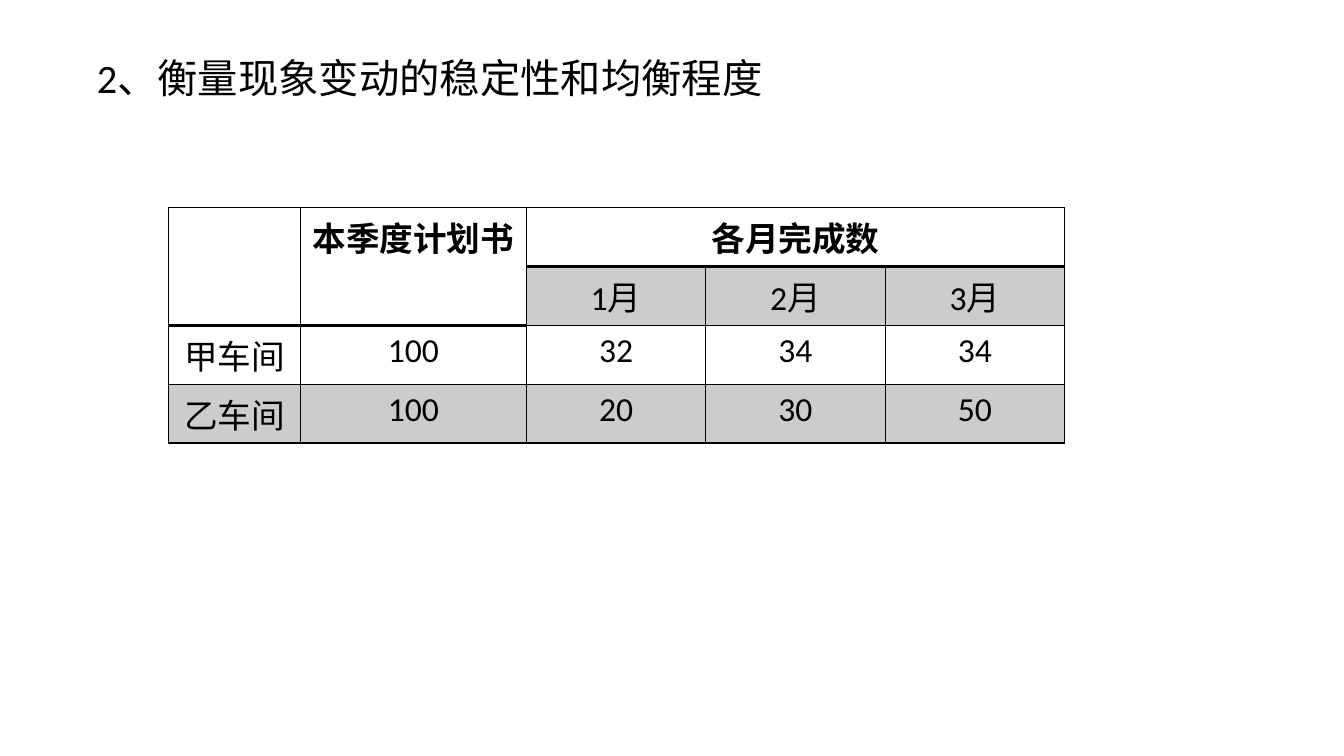
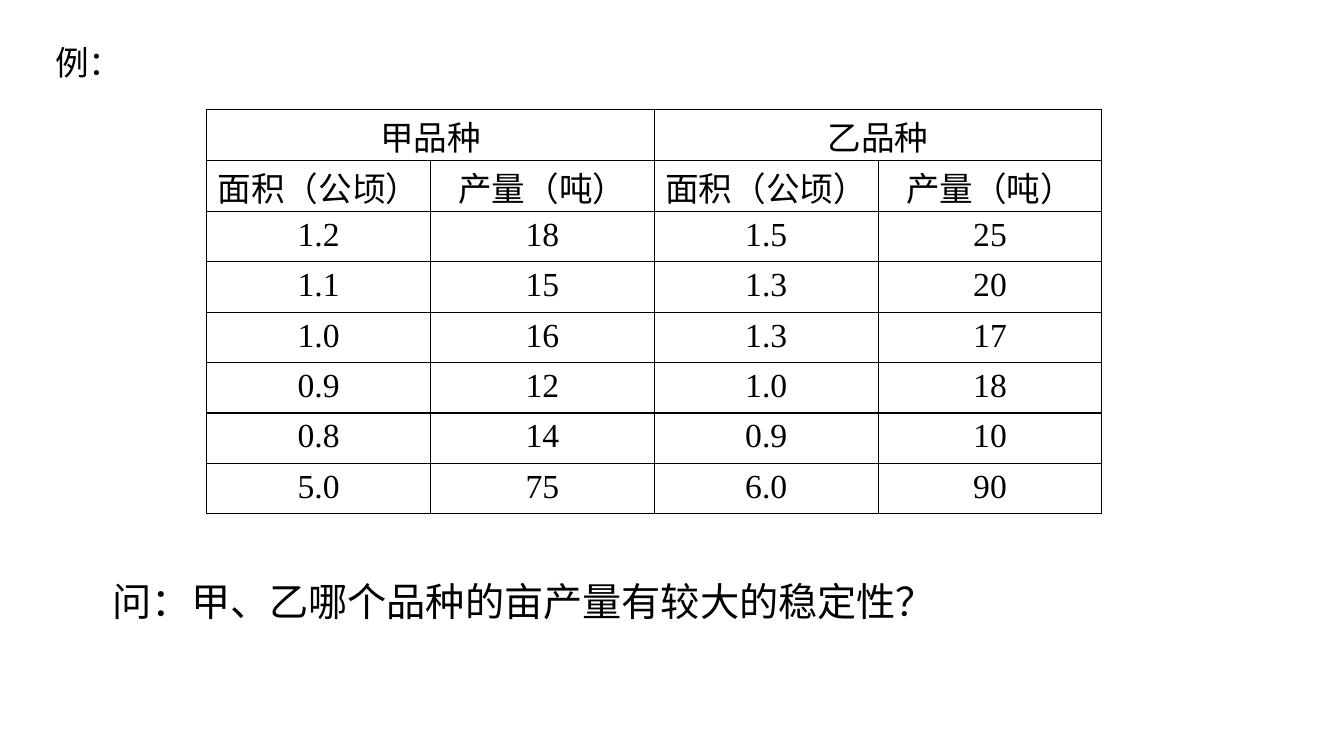
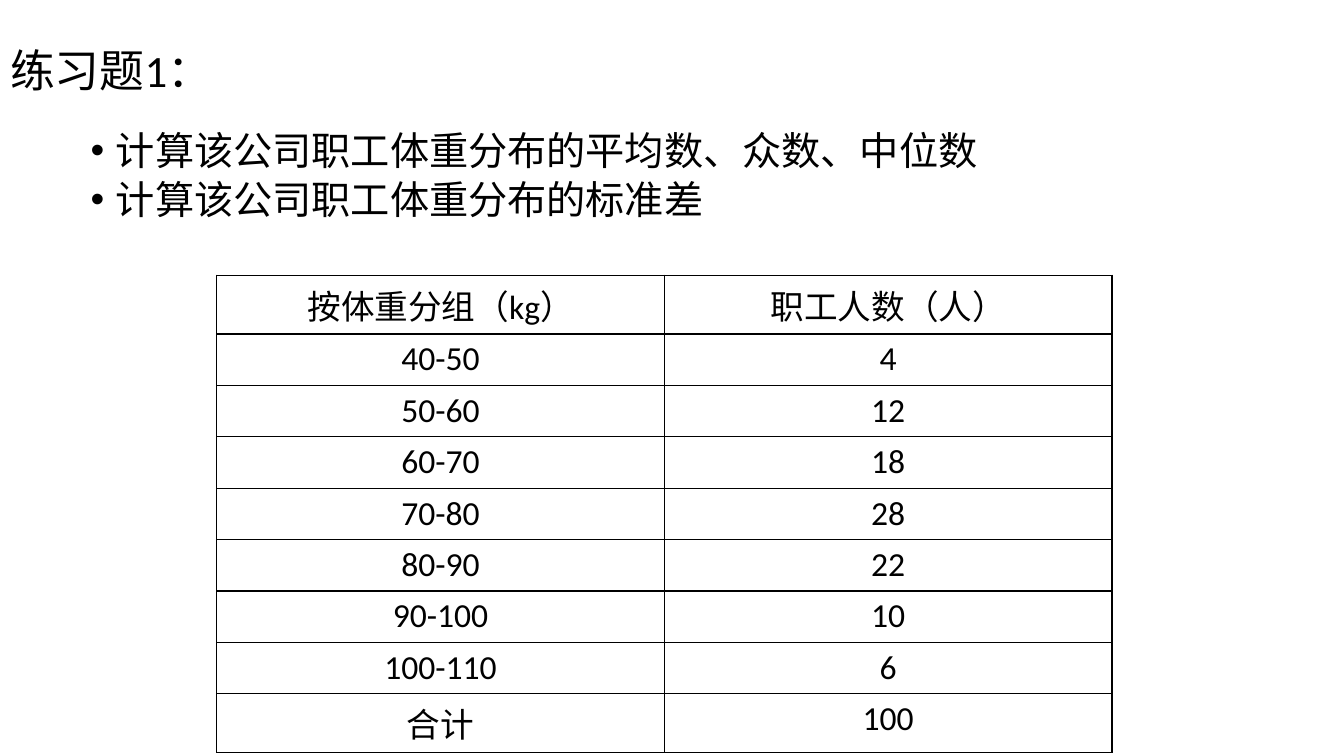
from dataclasses import dataclass

import lxml.etree
import pptx
import pptx.dml.color
import pptx.enum.text
import pptx.oxml.ns
import pptx.util

Inches = pptx.util.Inches
Pt = pptx.util.Pt
qn = pptx.oxml.ns.qn
ALIGN = pptx.enum.text.PP_ALIGN
ANCHOR = pptx.enum.text.MSO_ANCHOR

COLORS = {"ink": "000000", "band": "CCCCCC"}
SANS = "Calibri"
SERIF = "Times New Roman"
CJK = "Noto Sans CJK SC"


@dataclass
class Grid:
    left: float
    top: float
    cols: list[float]
    heights: list[float]
    rows: list[list[str]]
    merges: tuple[tuple[int, int, int, int], ...] = ()
    font: str = SANS
    bold_rows: tuple[int, ...] = ()
    shaded: tuple[tuple[int, int], ...] = ()
    thick_below: tuple[tuple[int, int], ...] = ()
    tight_rows: tuple[int, ...] = ()


def rgb(name: str) -> pptx.dml.color.RGBColor:
    return pptx.dml.color.RGBColor.from_string(COLORS[name])


def add_text(tf, text: str, *, size: float = 24, font: str = SANS, bold: bool = False,
             align=ALIGN.LEFT, line: float = 1.0, before: float = 0,
             bullet: bool = False, new: bool = False) -> None:
    p = tf.add_paragraph() if new else tf.paragraphs[0]
    p.alignment = align
    p.line_spacing = line
    p.space_before = Pt(before)
    if bullet:
        pPr = p._p.get_or_add_pPr()
        pPr.set("marL", str(Inches(0.25)))
        pPr.set("indent", str(Inches(-0.25)))
        lxml.etree.SubElement(pPr, qn("a:buFont")).set("typeface", "Arial")
        lxml.etree.SubElement(pPr, qn("a:buChar")).set("char", "•")
    r = p.add_run()
    r.text = text
    r.font.size = Pt(size)
    r.font.bold = bold
    r.font.name = font
    r.font.color.rgb = rgb("ink")
    ea = lxml.etree.Element(qn("a:ea"))
    ea.set("typeface", CJK)
    r._r.rPr.find(qn("a:latin")).addnext(ea)


def place(shape, left: float, top: float, width: float, height: float):
    shape.left, shape.top = Inches(left), Inches(top)
    shape.width, shape.height = Inches(width), Inches(height)
    tf = shape.text_frame
    tf.auto_size = pptx.enum.text.MSO_AUTO_SIZE.NONE
    return tf


def add_title(s, text: str, box: tuple[float, float, float, float], size: float) -> None:
    tf = place(s.shapes.title, *box)
    tf.vertical_anchor = ANCHOR.MIDDLE
    add_text(tf, text, size=size, line=0.9)


def add_label(s, text: str, box: tuple[float, float, float, float], size: float) -> None:
    tf = place(s.shapes.add_textbox(0, 0, 0, 0), *box)
    tf.word_wrap = False
    add_text(tf, text, size=size)


def set_borders(cell, widths: dict[str, float]) -> None:
    tcPr = cell._tc.get_or_add_tcPr()
    for side, width in widths.items():
        ln = lxml.etree.SubElement(tcPr, qn(f"a:ln{side}"))
        ln.set("w", str(Pt(width)))
        fill = lxml.etree.SubElement(ln, qn("a:solidFill"))
        lxml.etree.SubElement(fill, qn("a:srgbClr")).set("val", COLORS["ink"])


def add_grid(s, grid: Grid) -> None:
    frame = s.shapes.add_table(len(grid.rows), len(grid.cols), Inches(grid.left), Inches(grid.top),
                               Inches(sum(grid.cols)), Inches(sum(grid.heights)))
    table = frame.table
    table.first_row = table.horz_banding = False
    for col, width in zip(table.columns, grid.cols):
        col.width = Inches(width)
    for row, height in zip(table.rows, grid.heights):
        row.height = Inches(height)
    for i, row in enumerate(grid.rows):
        for j, text in enumerate(row):
            cell = table.cell(i, j)
            set_borders(cell, {"L": 1, "R": 1,
                               "T": 2 if (i - 1, j) in grid.thick_below else 1,
                               "B": 2 if (i, j) in grid.thick_below else 1})
            if (i, j) in grid.shaded:
                cell.fill.solid()
                cell.fill.fore_color.rgb = rgb("band")
            else:
                cell.fill.background()
            if i in grid.tight_rows:
                cell.margin_top, cell.margin_bottom = Inches(0.02), 0
            if text:
                add_text(cell.text_frame, text, font=grid.font, align=ALIGN.CENTER,
                         bold=i in grid.bold_rows)
    for top, left, bottom, right in grid.merges:
        table.cell(top, left).merge(table.cell(bottom, right))


WORKSHOPS = Grid(
    1.67, 2.06, [1.31, 2.24] + [1.78] * 3, [0.58] * 4,
    [["", "本季度计划书", "各月完成数", "", ""],
     ["", "", "1月", "2月", "3月"],
     ["甲车间", "100", "32", "34", "34"],
     ["乙车间", "100", "20", "30", "50"]],
    merges=((0, 0, 1, 0), (0, 1, 1, 1), (0, 2, 0, 4)),
    bold_rows=(0,),
    shaded=tuple((1, j) for j in range(2, 5)) + tuple((3, j) for j in range(5)),
    thick_below=((0, 0), (0, 1), (0, 2), (0, 3), (0, 4), (1, 0), (1, 1)),
)

VARIETIES = Grid(
    2.05, 1.09, [2.22] * 4, [0.5] * 8,
    [["甲品种", "", "乙品种", ""],
     ["面积（公顷）", "产量（吨）"] * 2,
     ["1.2", "18", "1.5", "25"],
     ["1.1", "15", "1.3", "20"],
     ["1.0", "16", "1.3", "17"],
     ["0.9", "12", "1.0", "18"],
     ["0.8", "14", "0.9", "10"],
     ["5.0", "75", "6.0", "90"]],
    merges=((0, 0, 0, 1), (0, 2, 0, 3)),
    font=SERIF,
    tight_rows=(0, 1),
)

WEIGHTS = Grid(
    2.15, 2.73, [4.44] * 2, [0.58] + [0.51] * 7 + [0.58],
    [["按体重分组（kg）", "职工人数（人）"],
     ["40-50", "4"],
     ["50-60", "12"],
     ["60-70", "18"],
     ["70-80", "28"],
     ["80-90", "22"],
     ["90-100", "10"],
     ["100-110", "6"],
     ["合计", "100"]],
)

TASKS = ["计算该公司职工体重分布的平均数、众数、中位数", "计算该公司职工体重分布的标准差"]


def main() -> None:
    prs = pptx.Presentation()
    prs.slide_width, prs.slide_height = Inches(13.33), Inches(7.5)
    content, title_only, blank = (prs.slide_layouts[i] for i in (1, 5, 6))

    s = prs.slides.add_slide(title_only)
    add_title(s, "2、衡量现象变动的稳定性和均衡程度", (0.86, 0.43, 11.94, 0.73), 28.8)
    add_grid(s, WORKSHOPS)

    s = prs.slides.add_slide(blank)
    add_label(s, "例：", (0.45, 0.37, 0.88, 0.58), 24)
    add_label(s, "问：甲、乙哪个品种的亩产量有较大的稳定性？", (1.02, 5.68, 8.45, 0.66), 28)
    add_grid(s, VARIETIES)

    s = prs.slides.add_slide(content)
    add_title(s, "练习题1：", (0, 0, 11.5, 1.45), 32)
    tf = place(s.placeholders[1], 0.8, 1.29, 11.5, 4.76)
    for i, task in enumerate(TASKS):
        add_text(tf, task, size=28, line=0.82, before=7 if i else 0, bullet=True, new=i > 0)
    add_grid(s, WEIGHTS)

    prs.save("out.pptx")


if __name__ == "__main__":
    main()
